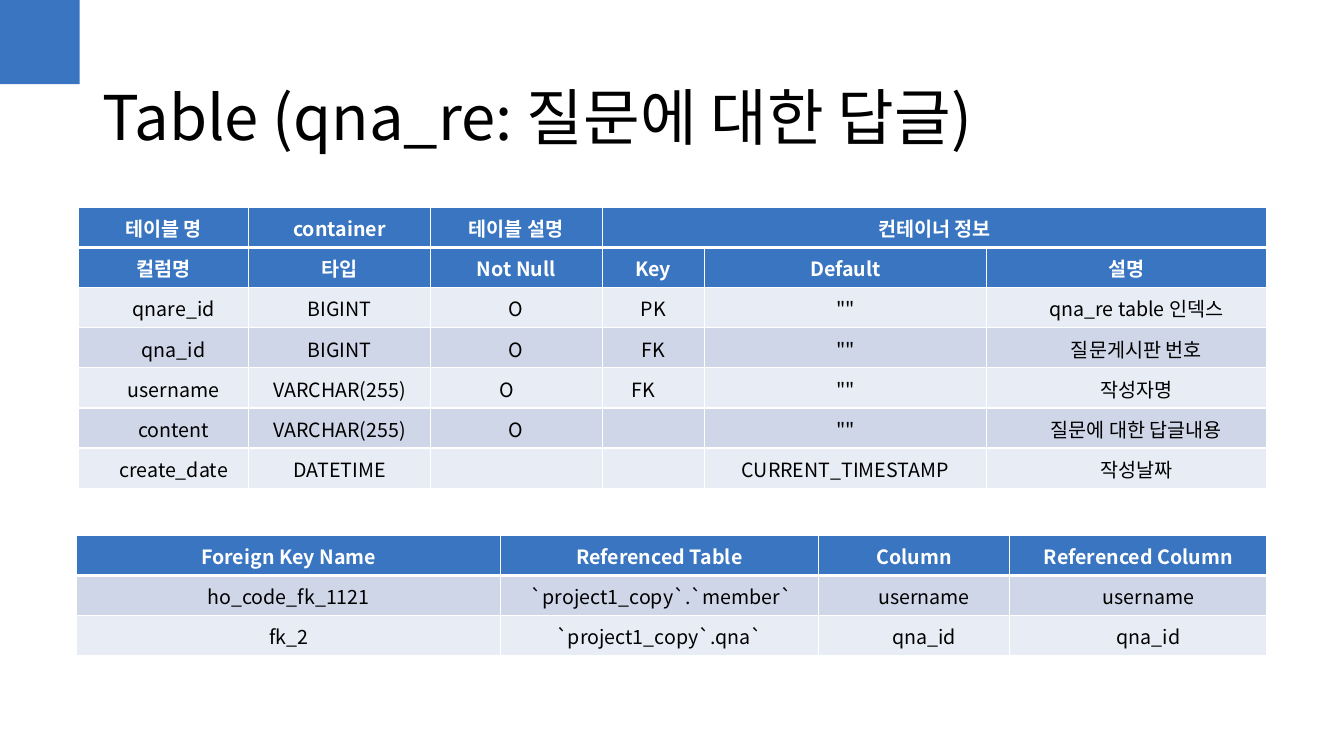
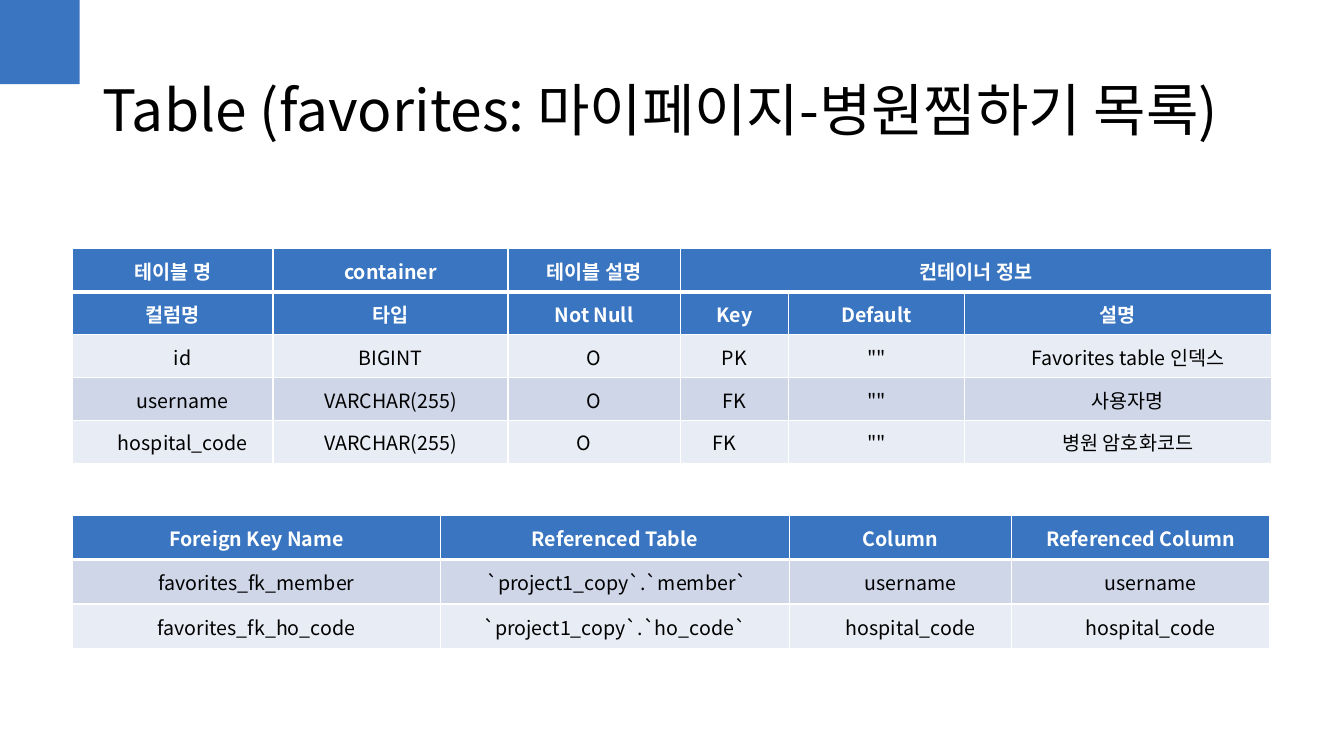
from dataclasses import dataclass

from lxml.etree import SubElement
from pptx import Presentation
from pptx.dml.color import RGBColor
from pptx.enum.shapes import MSO_SHAPE
from pptx.enum.text import MSO_ANCHOR, MSO_AUTO_SIZE, PP_ALIGN
from pptx.oxml.ns import qn
from pptx.util import Cm, Pt


@dataclass(frozen=True)
class Theme:
    font: str = "Noto Sans CJK KR"
    blue: str = "3975C0"
    bands: tuple = ("E8ECF4", "CED6E8")  # even rows, odd rows
    white: str = "FFFFFF"
    black: str = "000000"
    title_pt: float = 44
    long_title_pt: float = 40.7
    cell_pt: float = 14
    thin_pt: float = 1
    thick_pt: float = 3


T = Theme()

# Heading rows and indented columns of the two kinds of table
SCHEMA_HEAD = [
    ["테이블 명", "container", "테이블 설명", "컨테이너 정보", "", ""],
    ["컬럼명", "타입", "Not Null", "Key", "Default", "설명"],
]
SCHEMA_INDENTED = (0, 5)
KEY_HEAD = [["Foreign Key Name", "Referenced Table", "Column", "Referenced Column"]]
KEY_INDENTED = (2, 3)


def rgb(color):
    return RGBColor.from_string(color)


def style_paragraph(p, size, color, bold=False):
    f = p.font
    f.name, f.size, f.bold = T.font, Pt(size), bold
    f.color.rgb = rgb(color)
    # East Asian text needs its own font element
    props = p._p.pPr.find(qn("a:defRPr"))
    SubElement(props, qn("a:ea"), typeface=T.font)


def add_corner(s):
    sp = s.shapes.add_shape(MSO_SHAPE.RECTANGLE, 0, 0, Cm(2.01), Cm(2.12))
    sp.shadow.inherit = False
    sp.fill.solid()
    sp.fill.fore_color.rgb = rgb(T.blue)
    sp.line.fill.background()


def set_title(s, text, size, spacing):
    sp = s.shapes.title
    sp.left, sp.top, sp.width, sp.height = Cm(2.33), Cm(0.9), Cm(29.21), Cm(3.68)
    tf = sp.text_frame
    tf.text = text
    tf.word_wrap = True
    tf.auto_size = MSO_AUTO_SIZE.NONE
    tf.vertical_anchor = MSO_ANCHOR.MIDDLE
    p = tf.paragraphs[0]
    p.alignment = PP_ALIGN.LEFT
    p.line_spacing = spacing
    style_paragraph(p, size, T.black)


def set_borders(cell, top, bottom):
    props = cell._tc.get_or_add_tcPr()
    widths = {"L": T.thin_pt, "R": T.thin_pt, "T": top, "B": bottom}
    for i, (side, width) in enumerate(widths.items()):
        ln = props.makeelement(qn(f"a:ln{side}"), {"w": str(Pt(width))})
        fill = SubElement(ln, qn("a:solidFill"))
        SubElement(fill, qn("a:srgbClr"), val=T.white)
        props.insert(i, ln)


def fill_cell(cell, text, fill, color, bold, indented):
    cell.text = text
    cell.fill.solid()
    cell.fill.fore_color.rgb = rgb(fill)
    cell.vertical_anchor = MSO_ANCHOR.MIDDLE
    cell.margin_left = cell.margin_right = cell.margin_top = Cm(0.03)
    cell.margin_bottom = 0
    p = cell.text_frame.paragraphs[0]
    p.alignment = PP_ALIGN.CENTER
    if indented:
        p._p.get_or_add_pPr().set("marL", str(Cm(0.5)))
    style_paragraph(p, T.cell_pt, color, bold)


def add_grid(s, left, top, widths, row_height, head, body, indented):
    rows = head + body
    frame = s.shapes.add_table(len(rows), len(widths), Cm(left), Cm(top),
                               Cm(sum(widths)), Cm(row_height * len(rows)))
    table = frame.table
    for column, width in zip(table.columns, widths):
        column.width = Cm(width)
    for r, row in enumerate(rows):
        table.rows[r].height = Cm(row_height)
        is_head = r < len(head)
        fill = T.blue if is_head else T.bands[r % 2]
        color = T.white if is_head else T.black
        # A thick rule runs under the first row
        rule_top = T.thick_pt if r == 1 else T.thin_pt
        rule_bottom = T.thick_pt if r == 0 else T.thin_pt
        for c, text in enumerate(row):
            cell = table.cell(r, c)
            fill_cell(cell, text, fill, color, is_head,
                      not is_head and c in indented)
            set_borders(cell, rule_top, rule_bottom)
    return table


def add_schema(s, left, top, widths, row_height, body):
    table = add_grid(s, left, top, widths, row_height,
                     SCHEMA_HEAD, body, SCHEMA_INDENTED)
    table.cell(0, 3).merge(table.cell(0, 5))


def add_keys(s, left, top, widths, row_height, body):
    add_grid(s, left, top, widths, row_height, KEY_HEAD, body, KEY_INDENTED)


def add_slide(prs, title, size, spacing):
    s = prs.slides.add_slide(prs.slide_layouts[5])
    add_corner(s)
    set_title(s, title, size, spacing)
    return s


def main():
    prs = Presentation()
    prs.slide_width, prs.slide_height = Cm(33.87), Cm(19.05)

    # Answers to questions
    s = add_slide(prs, "Table (qna_re: 질문에 대한 답글)", T.title_pt, 1.18)
    add_schema(s, 1.98, 5.23, [4.29, 4.57, 4.34, 2.57, 7.11, 7.06], 1.01, [
        ["qnare_id", "BIGINT", "O", "PK", '""', "qna_re table 인덱스"],
        ["qna_id", "BIGINT", "O", "FK", '""', "질문게시판 번호"],
        ["username", "VARCHAR(255)", "O　", "FK　", '""', "작성자명"],
        ["content", "VARCHAR(255)", "O", "", '""', "질문에 대한 답글내용"],
        ["create_date", "DATETIME", "", "", "CURRENT_TIMESTAMP", "작성날짜"],
    ])
    add_keys(s, 1.93, 13.49, [10.69, 8, 4.83, 6.48], 1.01, [
        ["ho_code_fk_1121", " `project1_copy`.`member`", "username", "username"],
        ["fk_2", "`project1_copy`.qna`", "qna_id", "qna_id"],
    ])

    # Favorite hospitals
    s = add_slide(prs, "Table (favorites: 마이페이지-병원찜하기 목록)",
                  T.long_title_pt, 1.0)
    add_schema(s, 1.83, 6.27, [5.05, 5.92, 4.34, 2.74, 4.42, 7.75], 1.08, [
        ["id", "BIGINT", "O", "PK", '""', "Favorites table 인덱스"],
        ["username", "VARCHAR(255)", "O", "FK", '""', "사용자명"],
        ["hospital_code", "VARCHAR(255)", "O　", "FK　", '""', "병원 암호화코드"],
    ])
    add_keys(s, 1.83, 12.98, [9.27, 8.79, 5.61, 6.5], 1.12, [
        ["favorites_fk_member", " `project1_copy`.`member`", "username", "username"],
        ["favorites_fk_ho_code", "`project1_copy`.`ho_code`",
         "hospital_code", "hospital_code"],
    ])

    prs.save("out.pptx")


if __name__ == "__main__":
    main()
